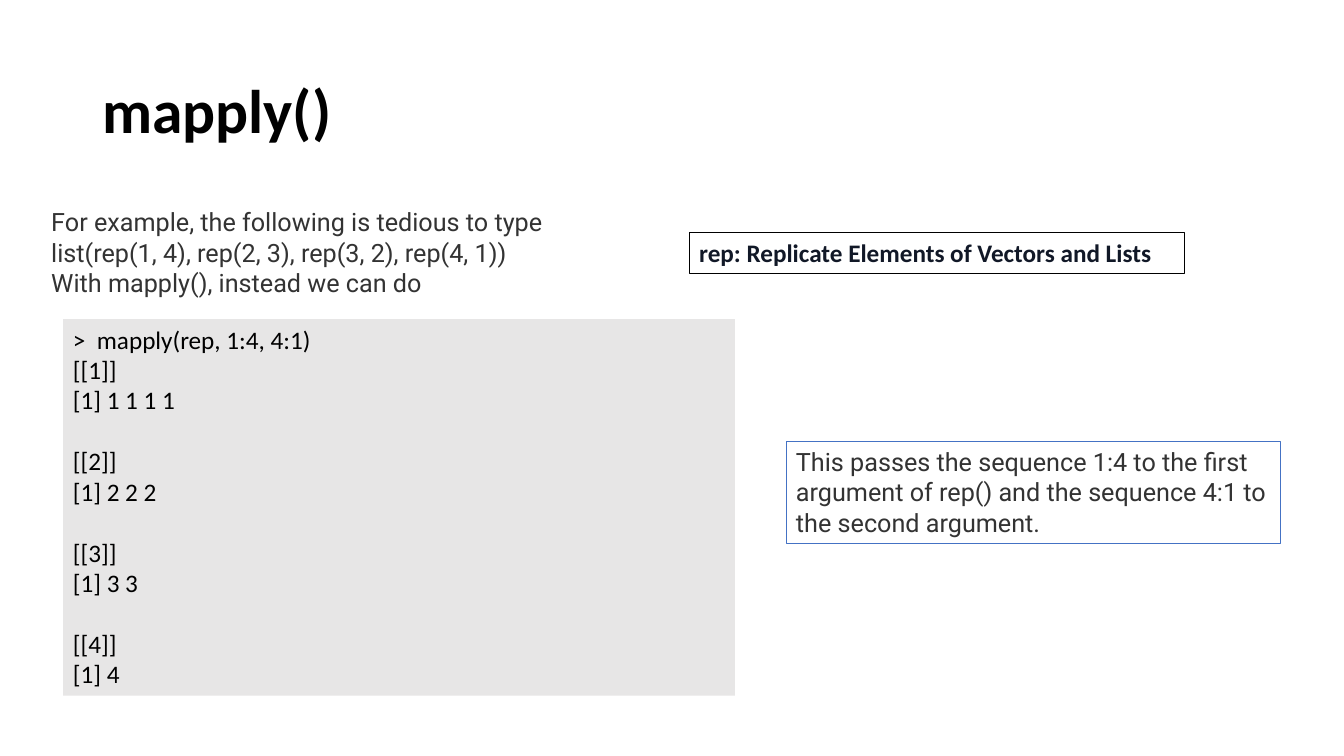
from pptx import Presentation
from pptx.dml.color import RGBColor
from pptx.enum.shapes import MSO_SHAPE
from pptx.enum.text import MSO_ANCHOR, PP_ALIGN
from pptx.util import Pt

COLORS = {
    "black": "000000",
    "body": "333333",
    "definition": "111827",
    "panel": "E7E6E6",
    "accent": "4472C4",
}

CODE_BLOCKS = [
    [">  mapply(rep, 1:4, 4:1)", "[[1]]", "[1] 1 1 1 1"],
    ["[[2]]", "[1] 2 2 2"],
    ["[[3]]", "[1] 3 3"],
    ["[[4]]", "[1] 4"],
]
INTRODUCTION = [
    "For example, the following is tedious to type",
    "list(rep(1, 4), rep(2, 3), rep(3, 2), rep(4, 1))",
    "With mapply(), instead we can do",
]
EXPLANATION = (
    "This passes the sequence 1:4 to the first argument of rep() "
    "and the sequence 4:1 to the second argument."
)
DEFINITION = "rep: Replicate Elements of Vectors and Lists"


def color(name):
    """Return the named colour."""
    return RGBColor.from_string(COLORS[name])


def write_lines(shape, lines, font_name, color_name, size=18, bold=False):
    """Write one left-aligned paragraph per line and format its runs."""
    text_frame = shape.text_frame
    text_frame.word_wrap = True
    text_frame.text = "\n".join(lines)
    for paragraph in text_frame.paragraphs:
        paragraph.alignment = PP_ALIGN.LEFT
        for run in paragraph.runs:
            run.font.name = font_name
            run.font.size = Pt(size)
            run.font.bold = bold
            run.font.color.rgb = color(color_name)


def add_rectangle(slide, box, fill=None, line=None):
    """Add a flat rectangle with an optional fill and outline."""
    shape = slide.shapes.add_shape(MSO_SHAPE.RECTANGLE, *map(Pt, box))
    shape.shadow.inherit = False
    if fill:
        shape.fill.solid()
        shape.fill.fore_color.rgb = color(fill)
    else:
        shape.fill.background()
    if line:
        shape.line.color.rgb = color(line)
        shape.line.width = Pt(0.75)
    else:
        shape.line.fill.background()
    return shape


def add_title(slide, box, text):
    """Add the vertically centred slide title."""
    title = slide.shapes.add_textbox(*map(Pt, box))
    write_lines(title, [text], "Calibri", "black", size=44, bold=True)
    title.text_frame.vertical_anchor = MSO_ANCHOR.MIDDLE
    title.text_frame.paragraphs[0].line_spacing = 0.9


def add_code_panel(slide, box, blocks):
    """Add the grey console panel with one line of space between blocks."""
    panel = add_rectangle(slide, box, fill="panel")
    write_lines(panel, [line for block in blocks for line in block], "Calibri", "black")
    panel.text_frame.vertical_anchor = MSO_ANCHOR.TOP
    block_start = 0
    for block in blocks[:-1]:
        block_start += len(block)
        panel.text_frame.paragraphs[block_start].space_before = Pt(22)


def add_introduction(slide, box, lines):
    """Add the plain introductory text."""
    introduction = slide.shapes.add_textbox(*map(Pt, box))
    write_lines(introduction, lines, "Roboto", "body")


def add_note(slide, box, text, line, font_name, color_name, bold=False):
    """Add an outlined note."""
    note = add_rectangle(slide, box, line=line)
    write_lines(note, [text], font_name, color_name, bold=bold)
    note.text_frame.vertical_anchor = MSO_ANCHOR.TOP


def main():
    """Build and save the presentation."""
    presentation = Presentation()
    presentation.slide_width = Pt(960)
    presentation.slide_height = Pt(540)
    slide = presentation.slides.add_slide(presentation.slide_layouts[6])
    add_title(slide, (66, 28.75, 828, 104.4), "mapply()")
    add_code_panel(slide, (45, 228, 480, 269), CODE_BLOCKS)
    add_introduction(slide, (29.5, 144, 480, 72.7), INTRODUCTION)
    add_note(slide, (561.5, 315.3, 353.5, 72.7), EXPLANATION, "accent", "Roboto", "body")
    add_note(slide, (492.3, 166.2, 353.5, 29), DEFINITION, "black", "Calibri", "definition", bold=True)
    presentation.save("out.pptx")


if __name__ == "__main__":
    main()
